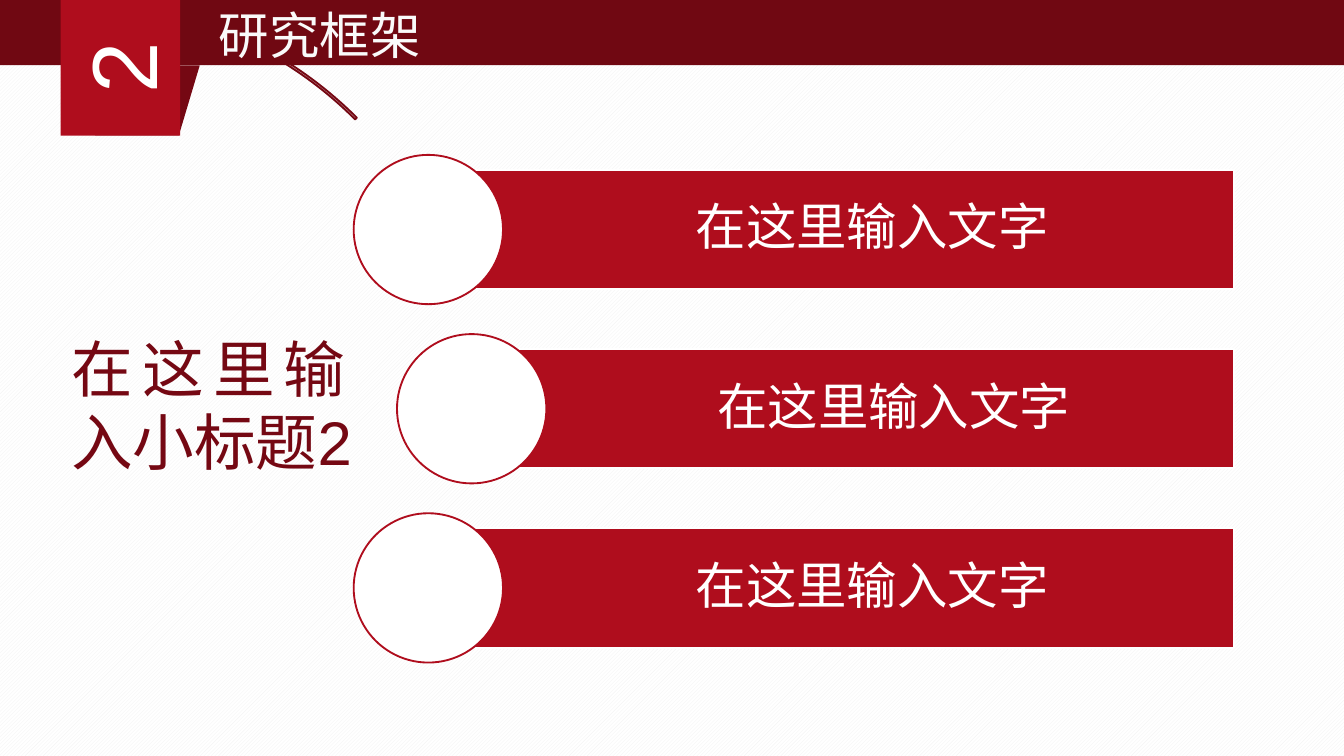
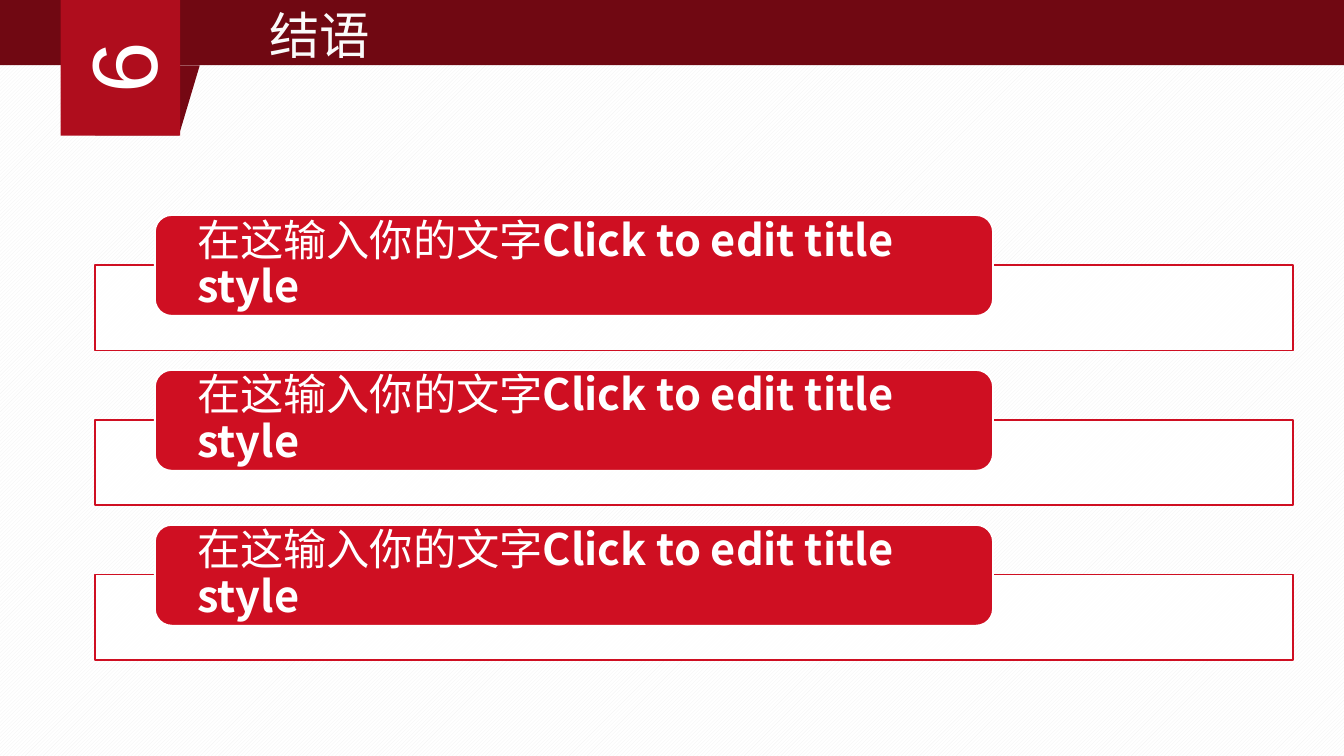
from dataclasses import dataclass

from lxml.etree import SubElement
from pptx import Presentation
from pptx.dml.color import RGBColor
from pptx.enum.dml import MSO_PATTERN
from pptx.enum.shapes import MSO_SHAPE
from pptx.enum.text import MSO_ANCHOR, MSO_AUTO_SIZE, PP_ALIGN
from pptx.oxml.ns import qn
from pptx.shapes.autoshape import Shape
from pptx.slide import Slide
from pptx.util import Pt

COLOURS = {
    "white": "FFFFFF",
    "title": "FAFAFA",
    "hatch": "F2F2F2",
    "band": "700812",
    "dark": "750813",
    "red": "AF0D1D",
    "bright": "CF0F22",
}
LATIN_FONT = "Arial"
CHINESE_FONT = "Noto Sans CJK SC"


@dataclass(frozen=True)
class Area:
    left: float
    top: float
    width: float
    height: float


@dataclass(frozen=True)
class Style:
    size: float
    colour: str
    font: str = LATIN_FONT
    align: PP_ALIGN = PP_ALIGN.CENTER
    anchor: MSO_ANCHOR = MSO_ANCHOR.MIDDLE
    margins: tuple[float, float, float, float] = (7.2, 3.6, 7.2, 3.6)
    line_spacing: float = 1.0


@dataclass(frozen=True)
class Bar:
    text: str
    left: float


@dataclass(frozen=True)
class Card:
    text: str
    bold_text: str


TITLE_STYLE = Style(27, "title", anchor=MSO_ANCHOR.TOP)
NUMBER_STYLE = Style(49.5, "white")
SUBTITLE_STYLE = Style(33, "dark", align=PP_ALIGN.JUSTIFY, anchor=MSO_ANCHOR.TOP)
BAR_STYLE = Style(27, "white", CHINESE_FONT, margins=(51, 5, 7.2, 5), line_spacing=0.9)
CARD_STYLE = Style(23.2, "white", CHINESE_FONT, PP_ALIGN.LEFT,
                   margins=(20, 2.5, 20, 2.5), line_spacing=0.9)

BARS = [Bar("在这里输入文字", left) for left in (229.5, 252.7, 229.5)]
BAR_TOP, BAR_STEP, BAR_HEIGHT, BAR_RIGHT = 91, 96, 64, 661
CIRCLE_SIZE = 80

CARDS = [Card("在这输入你的文字", "Click to edit title style")] * 3
CARD_TOP, CARD_STEP = 115.2, 83
FRAME_DROP = 26.6


def colour(name: str) -> RGBColor:
    return RGBColor.from_string(COLOURS[name])


def write(shape: Shape, style: Style, *texts: str) -> None:
    frame = shape.text_frame
    frame.word_wrap = True
    frame.vertical_anchor = style.anchor
    (frame.margin_left, frame.margin_top,
     frame.margin_right, frame.margin_bottom) = map(Pt, style.margins)
    para = frame.paragraphs[0]
    para.text = texts[0]
    para.alignment = style.align
    para.line_spacing = style.line_spacing
    for text in texts[1:]:
        span = para.add_run()
        span.text = text
        span.font.bold = True
    for span in para.runs:
        span.font.size = Pt(style.size)
        span.font.name = style.font
        span.font.color.rgb = colour(style.colour)
        east_asian = SubElement(span.font._element, qn("a:ea"))
        east_asian.set("typeface", CHINESE_FONT)


def add_box(page: Slide, kind: MSO_SHAPE, area: Area, fill: str | None = None,
            line: str | None = None) -> Shape:
    box = page.shapes.add_shape(kind, Pt(area.left), Pt(area.top),
                                Pt(area.width), Pt(area.height))
    box.shadow.inherit = False
    if fill:
        box.fill.solid()
        box.fill.fore_color.rgb = colour(fill)
    else:
        box.fill.background()
    if line:
        box.line.color.rgb = colour(line)
        box.line.width = Pt(1)
    else:
        box.line.fill.background()
    return box


def add_label(page: Slide, area: Area, style: Style, text: str) -> None:
    label = page.shapes.add_textbox(Pt(area.left), Pt(area.top),
                                    Pt(area.width), Pt(area.height))
    write(label, style, text)
    label.text_frame.auto_size = MSO_AUTO_SIZE.SHAPE_TO_FIT_TEXT


def add_page(deck: Presentation) -> Slide:
    page = deck.slides.add_slide(deck.slide_layouts[6])
    fill = page.background.fill
    fill.patterned()
    fill.pattern = MSO_PATTERN.LIGHT_UPWARD_DIAGONAL
    fill.fore_color.rgb = colour("hatch")
    fill.back_color.rgb = colour("white")
    return page


def add_header(page: Slide, number: str, title: str) -> None:
    add_box(page, MSO_SHAPE.RECTANGLE, Area(0, -0.5, 720, 35.5), "band")
    fold = add_box(page, MSO_SHAPE.FLOWCHART_DATA, Area(51, 35, 56, 37.5), "dark")
    fold.rotation = 180
    flag = add_box(page, MSO_SHAPE.RECTANGLE, Area(28.2, 4.3, 72.6, 64), "red")
    flag.rotation = 270
    write(flag, NUMBER_STYLE, number)
    add_label(page, Area(79, -1.5, 184.5, 40), TITLE_STYLE, title)


def add_bar(page: Slide, bar: Bar, top: float) -> None:
    area = Area(bar.left, top, BAR_RIGHT - bar.left, BAR_HEIGHT)
    write(add_box(page, MSO_SHAPE.RECTANGLE, area, "red", "white"), BAR_STYLE, bar.text)
    circle = Area(bar.left - CIRCLE_SIZE / 2, top + (BAR_HEIGHT - CIRCLE_SIZE) / 2,
                  CIRCLE_SIZE, CIRCLE_SIZE)
    add_box(page, MSO_SHAPE.OVAL, circle, "white", "red")


def add_card(page: Slide, card: Card, top: float) -> None:
    frame = add_box(page, MSO_SHAPE.RECTANGLE, Area(51, top + FRAME_DROP, 641.7, 46),
                    "white", "bright")
    fill_colour = frame._element.spPr.find(qn("a:solidFill"))[0]
    SubElement(fill_colour, qn("a:alpha")).set("val", "89000")
    plate = add_box(page, MSO_SHAPE.ROUNDED_RECTANGLE, Area(83, top, 449, 54),
                    "bright", "white")
    write(plate, CARD_STYLE, card.text, card.bold_text)


def build_framework(deck: Presentation) -> None:
    page = add_page(deck)
    arc = add_box(page, MSO_SHAPE.BLOCK_ARC, Area(-176.4, 0, 430.6, 430.6), line="dark")
    for index, value in enumerate((135, 189, 0.003)):
        arc.adjustments[index] = value
    for index, bar in enumerate(BARS):
        add_bar(page, bar, BAR_TOP + index * BAR_STEP)
    add_label(page, Area(31, 173.5, 166.3, 87), SUBTITLE_STYLE, "在这里输\v入小标题2")
    add_header(page, "2", "研究框架")


def build_conclusion(deck: Presentation) -> None:
    page = add_page(deck)
    add_header(page, "6", "结语")
    for index, card in enumerate(CARDS):
        add_card(page, card, CARD_TOP + index * CARD_STEP)


def main() -> None:
    deck = Presentation()
    deck.slide_width, deck.slide_height = Pt(720), Pt(405)
    build_framework(deck)
    build_conclusion(deck)
    deck.save("out.pptx")


if __name__ == "__main__":
    main()
